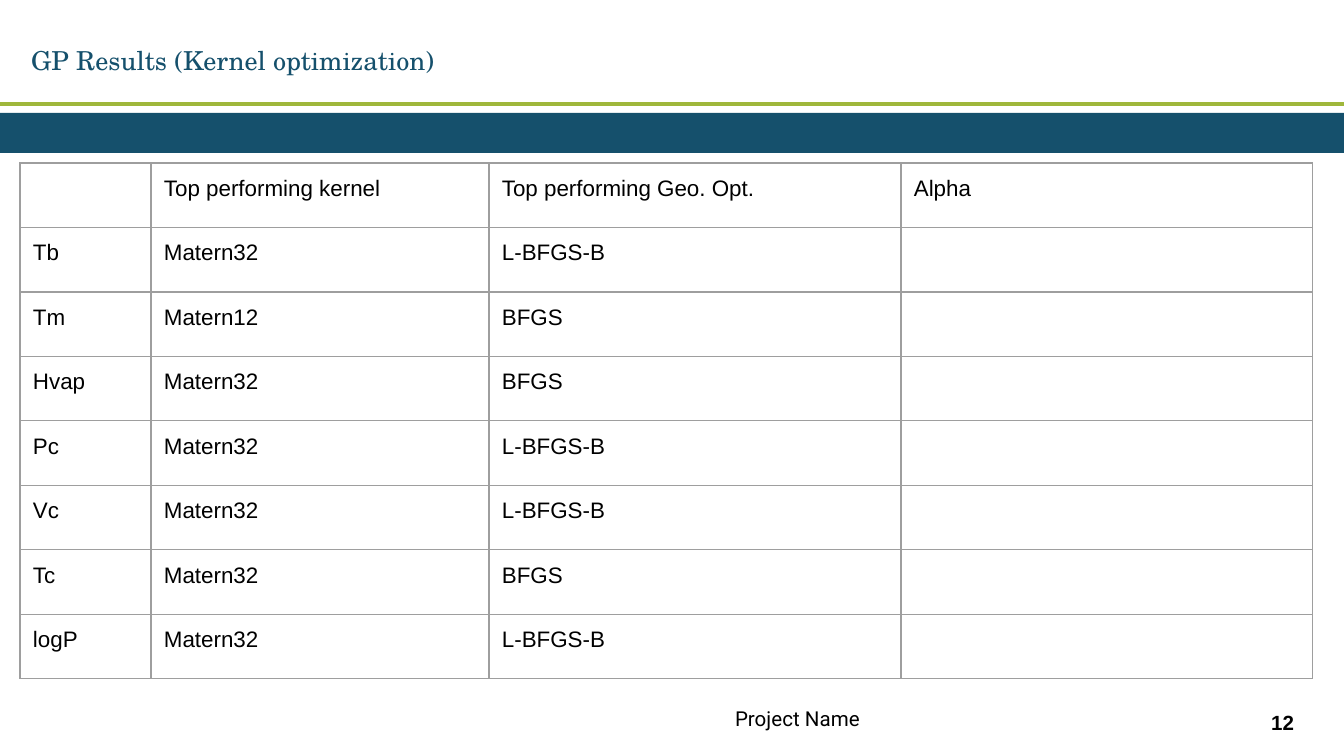
import lxml.etree
import pptx
import pptx.dml.color
import pptx.enum.shapes
import pptx.enum.text
import pptx.oxml.ns
import pptx.util

EMU_PER_PX = 914400 / 134.4
WHITE = pptx.dml.color.RGBColor(0xFF, 0xFF, 0xFF)
BLACK = pptx.dml.color.RGBColor(0x00, 0x00, 0x00)
NAVY = pptx.dml.color.RGBColor(0x15, 0x50, 0x6C)
GREEN = pptx.dml.color.RGBColor(0x9F, 0xB7, 0x3B)
GRAY = pptx.dml.color.RGBColor(0x9E, 0x9E, 0x9E)

COLUMN_WIDTHS = [131, 338, 412, 412]
TABLE_HEIGHT = 516
ROWS = [
    ("", "Top performing kernel", "Top performing Geo. Opt.", "Alpha"),
    ("Tb", "Matern32", "L-BFGS-B", ""),
    ("Tm", "Matern12", "BFGS", ""),
    ("Hvap", "Matern32", "BFGS", ""),
    ("Pc", "Matern32", "L-BFGS-B", ""),
    ("Vc", "Matern32", "L-BFGS-B", ""),
    ("Tc", "Matern32", "BFGS", ""),
    ("logP", "Matern32", "L-BFGS-B", ""),
]


def px(length):
    return pptx.util.Emu(round(length * EMU_PER_PX))


def add_xml(parent, tag, **attributes):
    return lxml.etree.SubElement(parent, pptx.oxml.ns.qn(tag), **attributes)


def write_text(paragraph, text, *, size, font="Arial", color=BLACK, bold=False,
               align=None, line_spacing=None):
    if not text:
        # Keeps an empty cell from growing to the default text size.
        add_xml(paragraph._p, "a:endParaRPr", sz=str(size * 100))
        return
    run = paragraph.add_run()
    run.text = text
    run.font.size = pptx.util.Pt(size)
    run.font.name = font
    run.font.bold = bold
    run.font.color.rgb = color
    paragraph.alignment = align
    paragraph.line_spacing = line_spacing


def add_text_box(slide, left, top, width, height, text, **text_format):
    box = slide.shapes.add_textbox(px(left), px(top), px(width), px(height))
    frame = box.text_frame
    frame.word_wrap = True
    frame.vertical_anchor = pptx.enum.text.MSO_ANCHOR.MIDDLE
    frame.margin_left = frame.margin_right = px(10)
    frame.margin_top = frame.margin_bottom = px(5)
    write_text(frame.paragraphs[0], text, **text_format)


def add_rule(slide, top, width, color, weight):
    rule = slide.shapes.add_connector(
        pptx.enum.shapes.MSO_CONNECTOR.STRAIGHT, 0, px(top), px(width), px(top))
    rule.line.color.rgb = color
    rule.line.width = pptx.util.Pt(weight)
    add_xml(rule._element.spPr, "a:effectLst")


def add_band(slide, top, width, height, color):
    band = slide.shapes.add_shape(
        pptx.enum.shapes.MSO_SHAPE.RECTANGLE, 0, px(top), px(width), px(height))
    band.shadow.inherit = False
    band.fill.solid()
    band.fill.fore_color.rgb = color
    band.line.fill.background()


def set_borders(cell, color, weight):
    properties = cell._tc.get_or_add_tcPr()
    for side in ("a:lnL", "a:lnR", "a:lnT", "a:lnB"):
        border = add_xml(properties, side, w=str(pptx.util.Pt(weight)))
        add_xml(add_xml(border, "a:solidFill"), "a:srgbClr", val=str(color))


def add_results_table(slide, left, top):
    shape = slide.shapes.add_table(
        len(ROWS), len(COLUMN_WIDTHS), px(left), px(top),
        px(sum(COLUMN_WIDTHS)), px(TABLE_HEIGHT))
    table = shape.table
    table.first_row = table.horz_banding = False
    for column, width in zip(table.columns, COLUMN_WIDTHS):
        column.width = px(width)
    for row, texts in zip(table.rows, ROWS):
        row.height = px(TABLE_HEIGHT / len(ROWS))
        for cell, text in zip(row.cells, texts):
            cell.margin_left = cell.margin_right = px(13)
            cell.margin_top = cell.margin_bottom = px(13)
            set_borders(cell, GRAY, 0.75)
            cell.fill.background()
            write_text(cell.text_frame.paragraphs[0], text, size=12)


def main():
    presentation = pptx.Presentation()
    presentation.slide_width = px(1344)
    presentation.slide_height = px(756)
    slide = presentation.slides.add_slide(presentation.slide_layouts[6])
    slide.background.fill.solid()
    slide.background.fill.fore_color.rgb = WHITE

    add_rule(slide, 104, 1344, GREEN, 2)
    add_band(slide, 113, 1344, 40, NAVY)
    add_text_box(slide, 21, 17, 1062, 81, "GP Results (Kernel optimization)",
                 size=14, font="TeX Gyre Schola", color=NAVY, line_spacing=1.15)
    add_text_box(slide, 1234, 702, 70, 40, "12", size=11, bold=True,
                 align=pptx.enum.text.PP_ALIGN.RIGHT)
    add_text_box(slide, 427, 694, 741, 54, "Project Name", size=11, font="Roboto",
                 align=pptx.enum.text.PP_ALIGN.CENTER, line_spacing=0.8)
    add_results_table(slide, 20, 163)
    presentation.save("out.pptx")


if __name__ == "__main__":
    main()
